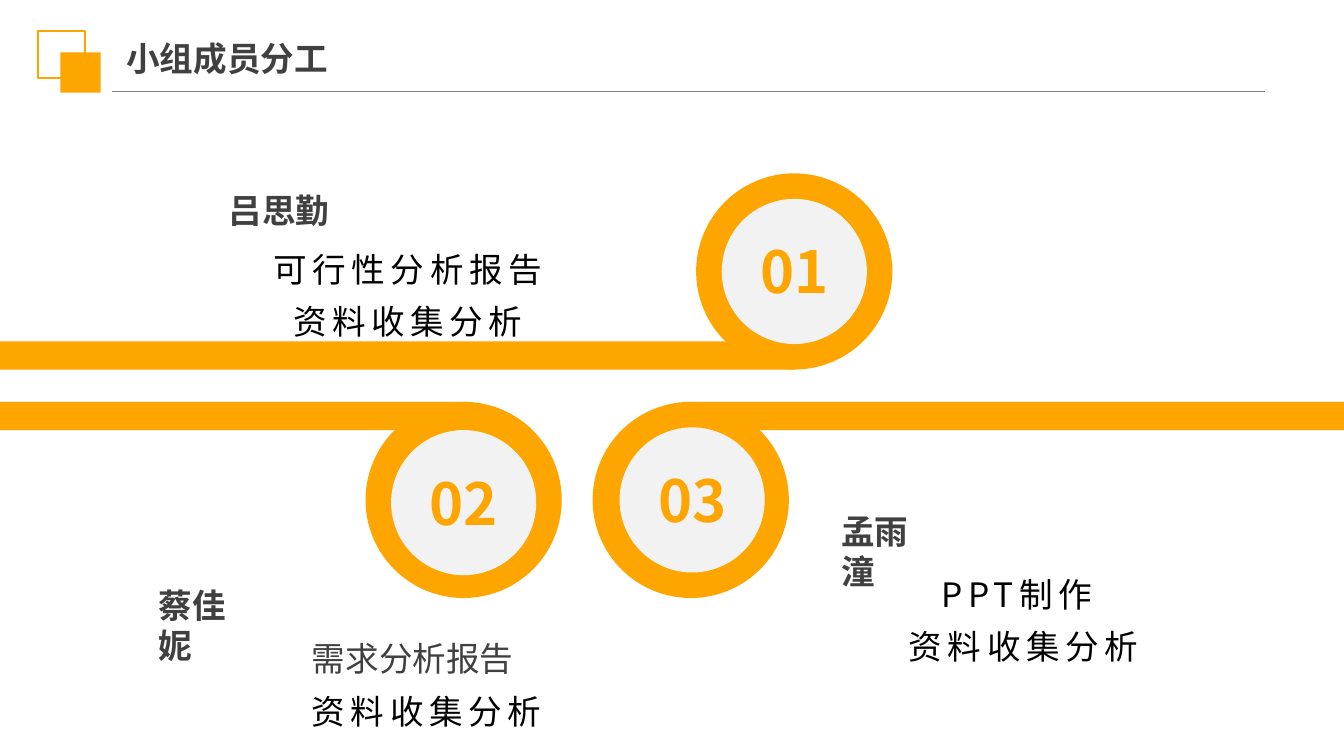
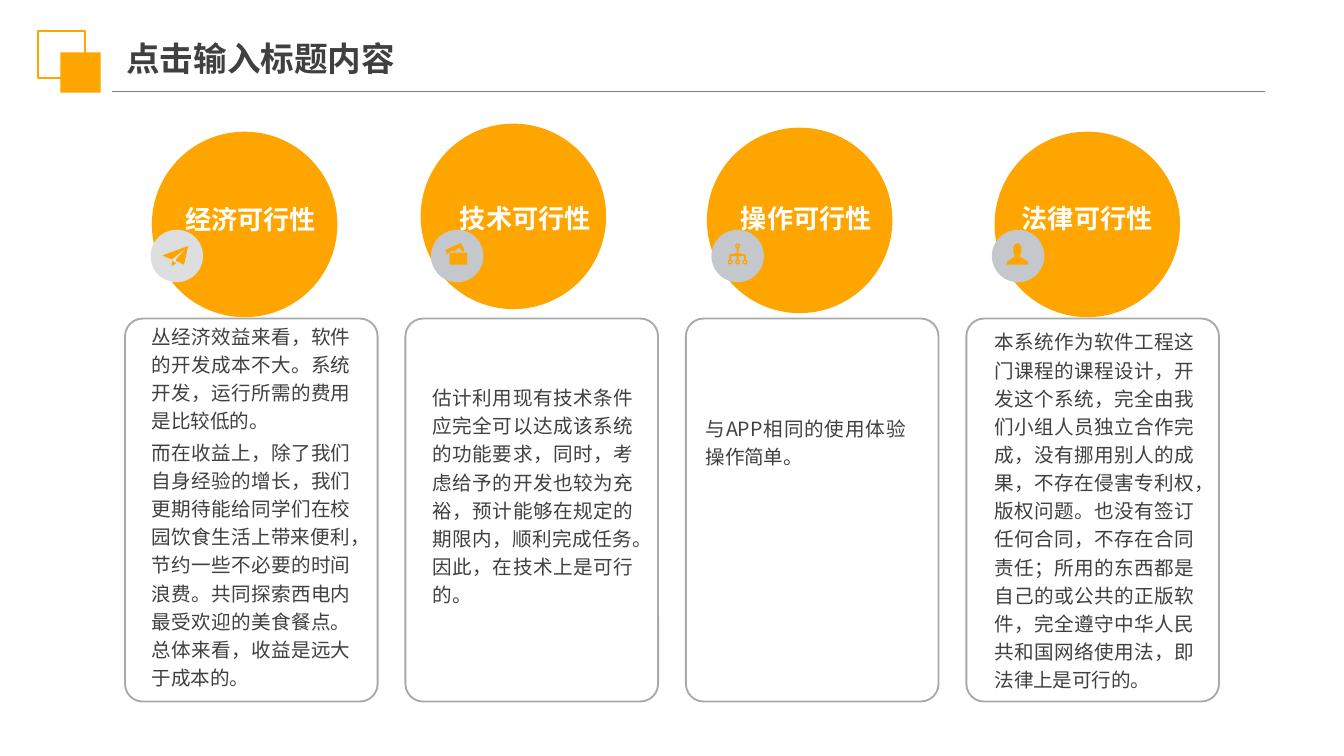
"""Builds two slides: team roles and feasibility analysis."""
import math

from lxml import etree
from pptx import Presentation
from pptx.dml.color import RGBColor
from pptx.enum.shapes import MSO_CONNECTOR, MSO_SHAPE
from pptx.enum.text import MSO_ANCHOR, MSO_AUTO_SIZE, PP_ALIGN
from pptx.oxml.ns import qn
from pptx.util import Inches, Pt

RECTANGLE = MSO_SHAPE.RECTANGLE
ROUNDED = MSO_SHAPE.ROUNDED_RECTANGLE
OVAL = MSO_SHAPE.OVAL
STRAIGHT = MSO_CONNECTOR.STRAIGHT
MIDDLE = MSO_ANCHOR.MIDDLE
TOP = MSO_ANCHOR.TOP
GROW = MSO_AUTO_SIZE.SHAPE_TO_FIT_TEXT
FIXED = MSO_AUTO_SIZE.NONE
CENTER = PP_ALIGN.CENTER
LEFT = PP_ALIGN.LEFT
JUSTIFY = PP_ALIGN.JUSTIFY

ORANGE = RGBColor(0xFF, 0xA5, 0x00)
DARK = RGBColor(0x40, 0x40, 0x40)
BLACK = RGBColor(0x00, 0x00, 0x00)
WHITE = RGBColor(0xFF, 0xFF, 0xFF)
RULE_GRAY = RGBColor(0x80, 0x80, 0x80)
DISC_GRAY = RGBColor(0xF2, 0xF2, 0xF2)
CARD_GRAY = RGBColor(0xA6, 0xAA, 0xA9)
BADGE_LIGHT = RGBColor(0xDC, 0xDE, 0xE0)
BADGE_GRAY = RGBColor(0xC4, 0xC7, 0xCB)

FONT = "Noto Sans CJK SC"
SLIDE_WIDTH = Inches(10)
SLIDE_HEIGHT = SLIDE_WIDTH * 9 // 16

HEADING = {"size": 18, "bold": True, "color": DARK}
NUMBER = {"size": 31, "bold": True, "color": ORANGE, "align": CENTER}
TASK = {"size": 18, "color": BLACK, "tracking": 3, "line_spacing": 1.3}
CENTERED_TASK = {**TASK, "align": CENTER}
PLAIN_TASK = {"size": 18, "color": DARK, "line_spacing": 1.3}
CARD_TITLE = {"size": 14, "bold": True, "color": WHITE, "align": CENTER,
              "line_spacing": 0.9}
CARD_BODY = {"size": 10.5, "color": DARK, "align": JUSTIFY, "line_spacing": 1.2}

NO_INSETS = (0, 0, 0, 0)
TITLE_INSETS = (0, 0.05, 0, 0.05)
ROLE_INSETS = (0.08, 0.04, 0.08, 0.04)
DISC_INSETS = (0.1, 0.04, 0.1, 0.05)

RING_SIZE = 1.46
DISC_SIZE = 1.08
BAR_HEIGHT = 0.21
CARD_LEFT = 0.93
CARD_PITCH = 6.26 / 3
BADGE_OFFSET = 0.19
BADGE_TOP = 1.71

RINGS = [
    ("02", (2.72, 2.99), (2.91, 3.2), (0, 2.99, 3.47, BAR_HEIGHT)),
    ("01", (5.18, 1.29), (5.37, 1.48), (0, 2.54, 5.91, BAR_HEIGHT)),
    ("03", (4.41, 2.99), (4.61, 3.18), (5.15, 2.99, 4.85, BAR_HEIGHT)),
]

ROLES = [
    ("吕思勤", (1.62, 1.37, 1.29, 0.38), True, (1.61, 1.72, 2.85, 0.86),
     [("可行性分析报告", CENTERED_TASK), ("资料收集分析", CENTERED_TASK)]),
    ("蔡佳妮", (1.1, 4.31, 0.9, 0.38), False, (2.24, 4.62, 2.28, 0.86),
     [("需求分析报告", PLAIN_TASK), ("资料收集分析", TASK)]),
    ("孟雨潼", (6.18, 3.76, 0.9, 0.38), False, (5.94, 4.14, 3.35, 0.86),
     [("PPT制作 ", CENTERED_TASK), ("资料收集分析", CENTERED_TASK)]),
]


def circle_points(x, y, radius, count=16):
    """Return points spread evenly around a circle."""
    angles = [2 * math.pi * step / count for step in range(count)]
    return [(x + radius * math.cos(a), y + radius * math.sin(a)) for a in angles]


PLANE = [
    [(280, 120), (90, 190), (130, 210), (160, 220), (270, 130), (190, 220),
     (190, 230), (250, 260)],
    [(160, 270), (190, 250), (160, 230)],
]
PHOTOS = [
    [(250, 160), (230, 110), (220, 100), (110, 150), (120, 200), (120, 180),
     (150, 160), (180, 160), (210, 130), (230, 160)],
    [(140, 170), (270, 170), (270, 260), (140, 260)],
]
TREE = [
    [(188, 138), (202, 138), (202, 175), (257, 185), (257, 222), (243, 222),
     (243, 195), (202, 195), (202, 222), (188, 222), (188, 195), (147, 195),
     (147, 222), (133, 222), (133, 185), (188, 175)],
] + [
    circle_points(x, y, radius)
    for x, y in [(195, 120), (140, 240), (195, 240), (250, 240)]
    for radius in (18, 9)
]
PERSON = [
    [(110, 260), (110, 240), (140, 220), (170, 200), (160, 160), (160, 130),
     (170, 110), (190, 100), (210, 110), (220, 130), (220, 160), (210, 200),
     (240, 220), (270, 240), (270, 260)],
]

CARDS = [
    {"title": "经济可行性", "circle": (1.13, 0.98), "title_box": (1.17, 1.41, 1.39, 0.47),
     "body_box": (1.13, 3.29, 1.48, 0.93), "badge": BADGE_LIGHT, "icon": PLANE,
     "body": ["丛经济效益来看，软件的开发成本不大。系统开发，运行所需的费用是比较低的。",
              "而在收益上，除了我们自身经验的增长，我们更期待能给同学们在校园饮食生活上"
              "带来便利，节约一些不必要的时间浪费。共同探索西电内最受欢迎的美食餐点。"
              "总体来看，收益是远大于成本的。"]},
    {"title": "技术可行性", "circle": (3.13, 0.92), "title_box": (3.26, 1.4, 1.3, 0.47),
     "body_box": (3.22, 2.42, 1.49, 2.51), "badge": BADGE_GRAY, "icon": PHOTOS,
     "body": ["估计利用现有技术条件应完全可以达成该系统的功能要求，同时，考虑给予的开发"
              "也较为充裕，预计能够在规定的期限内，顺利完成任务。因此，在技术上是可行的。"]},
    {"title": "操作可行性", "circle": (5.26, 0.95), "title_box": (5.35, 1.4, 1.3, 0.47),
     "body_box": (5.25, 2.81, 1.49, 0.93), "badge": BADGE_GRAY, "icon": TREE,
     "body": ["与APP相同的使用体验操作简单。"]},
    {"title": "法律可行性", "circle": (7.4, 0.98), "title_box": (7.44, 1.4, 1.3, 0.47),
     "body_box": (7.4, 2.52, 1.49, 2.53), "badge": BADGE_GRAY, "icon": PERSON,
     "body": ["本系统作为软件工程这门课程的课程设计，开发这个系统，完全由我们小组人员"
              "独立合作完成，没有挪用别人的成果，不存在侵害专利权，版权问题。也没有签订"
              "任何合同，不存在合同责任；所用的东西都是自己的或公共的正版软件，完全遵守"
              "中华人民共和国网络使用法，即法律上是可行的。"]},
]


def apply_format(target, values):
    """Set each named attribute on the target."""
    for name, value in values.items():
        setattr(target, name, value)


def paint(shape, fill=None, line=None):
    """Give a shape its fill and a one-point outline, or neither."""
    shape.shadow.inherit = False
    if fill is None:
        shape.fill.background()
    else:
        shape.fill.solid()
        shape.fill.fore_color.rgb = fill
    if line is None:
        shape.line.fill.background()
    else:
        shape.line.color.rgb = line
        shape.line.width = Pt(1)


def add_figure(slide, kind, box, fill=None, line=None):
    """Add a preset shape."""
    shape = slide.shapes.add_shape(kind, *map(Inches, box))
    paint(shape, fill, line)
    return shape


def write(shape, paragraphs, insets, anchor=MIDDLE, auto_size=FIXED, gap=0, wrap=True):
    """Fill a shape with (text, style) paragraphs."""
    left, top, right, bottom = map(Inches, insets)
    frame = shape.text_frame
    apply_format(frame, {
        "word_wrap": wrap, "auto_size": auto_size, "vertical_anchor": anchor,
        "margin_left": left, "margin_top": top,
        "margin_right": right, "margin_bottom": bottom,
    })
    for index, (text, style) in enumerate(paragraphs):
        paragraph = frame.add_paragraph() if index else frame.paragraphs[0]
        apply_format(paragraph, {
            "alignment": style.get("align", LEFT),
            "line_spacing": style.get("line_spacing", 1.0),
            "space_before": Pt(gap if index else 0),
        })
        run = paragraph.add_run()
        run.text = text
        apply_format(run.font, {"name": FONT, "size": Pt(style["size"]),
                                "bold": style.get("bold", False)})
        run.font.color.rgb = style["color"]
        properties = run._r.get_or_add_rPr()
        etree.SubElement(properties, qn("a:ea")).set("typeface", FONT)
        if "tracking" in style:
            properties.set("spc", str(style["tracking"] * 100))


def add_text(slide, box, paragraphs, insets=NO_INSETS, **layout):
    """Add a text box."""
    shape = slide.shapes.add_textbox(*map(Inches, box))
    write(shape, paragraphs, insets, **layout)


def add_header(slide, title):
    """Add the rule, the double square and the slide title."""
    rule = slide.shapes.add_connector(
        STRAIGHT, Inches(0.83), Inches(0.68), Inches(9.41), Inches(0.68))
    rule.line.color.rgb = RULE_GRAY
    rule.line.width = Pt(0.75)
    etree.SubElement(rule._element.spPr, qn("a:effectLst"))
    add_figure(slide, RECTANGLE, (0.28, 0.23, 0.35, 0.35), line=ORANGE)
    add_figure(slide, RECTANGLE, (0.45, 0.39, 0.3, 0.3), ORANGE)
    add_text(slide, (0.94, 0.22, 2.33, 0.42), [(title, HEADING)], TITLE_INSETS)


def add_ring(slide, number, ring, disc, bar):
    """Add a numbered ring with its bar to the slide edge."""
    add_figure(slide, RECTANGLE, bar, ORANGE)
    add_figure(slide, OVAL, (*ring, RING_SIZE, RING_SIZE), ORANGE)
    center = add_figure(slide, OVAL, (*disc, DISC_SIZE, DISC_SIZE), DISC_GRAY)
    write(center, [(number, NUMBER)], DISC_INSETS)


def add_role(slide, name, name_box, name_wrap, task_box, tasks):
    """Add a member name and the tasks below it."""
    layout = {"insets": ROLE_INSETS, "anchor": TOP, "auto_size": GROW}
    add_text(slide, task_box, tasks, **layout)
    add_text(slide, name_box, [(name, HEADING)], wrap=name_wrap, **layout)


def add_icon(slide, left, top, contours):
    """Add an icon outlined in thousandths of an inch."""
    builder = slide.shapes.build_freeform(*contours[0][0], scale=Inches(1) / 1000)
    for index, points in enumerate(contours):
        if index:
            builder.move_to(*points[0])
        builder.add_line_segments(points[1:], close=True)
    paint(builder.convert_to_shape(Inches(left), Inches(top)), ORANGE)


def add_card(slide, index, card):
    """Add a feasibility card with its circle, badge and text."""
    left = CARD_LEFT + index * CARD_PITCH
    frame = add_figure(slide, ROUNDED, (left, 2.37, 1.88, 2.85), line=CARD_GRAY)
    frame.adjustments[0] = 0.07
    add_figure(slide, OVAL, (*card["circle"], 1.38, 1.38), ORANGE)
    badge_left = left + BADGE_OFFSET
    add_figure(slide, OVAL, (badge_left, BADGE_TOP, 0.39, 0.39), card["badge"])
    add_icon(slide, badge_left, BADGE_TOP, card["icon"])
    add_text(slide, card["title_box"], [(card["title"], CARD_TITLE)])
    add_text(slide, card["body_box"],
             [(text, CARD_BODY) for text in card["body"]], gap=2)


def main():
    """Build and save the presentation."""
    presentation = Presentation()
    apply_format(presentation, {"slide_width": SLIDE_WIDTH,
                                "slide_height": SLIDE_HEIGHT})
    blank = presentation.slide_layouts[6]

    team = presentation.slides.add_slide(blank)
    add_header(team, "小组成员分工")
    for ring in RINGS:
        add_ring(team, *ring)
    for role in ROLES:
        add_role(team, *role)

    feasibility = presentation.slides.add_slide(blank)
    add_header(feasibility, "点击输入标题内容")
    for index, card in enumerate(CARDS):
        add_card(feasibility, index, card)

    presentation.save("out.pptx")


if __name__ == "__main__":
    main()
